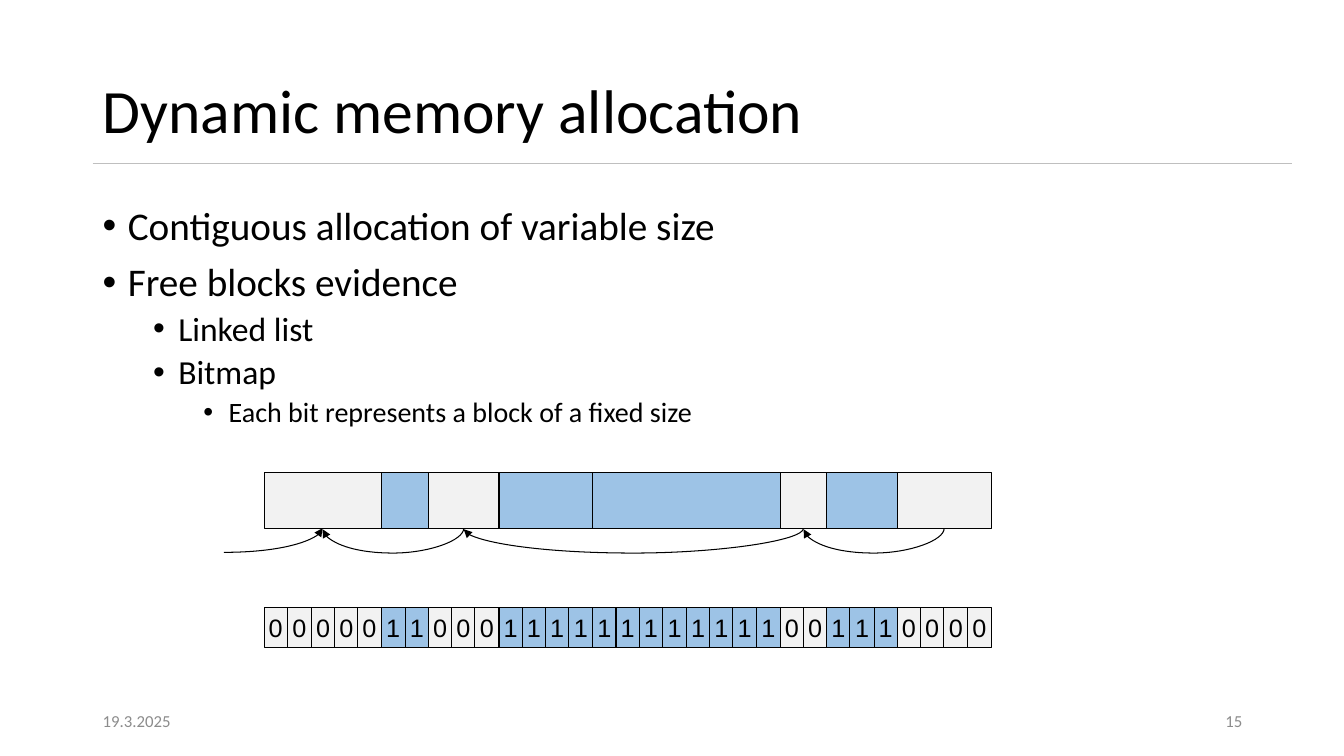
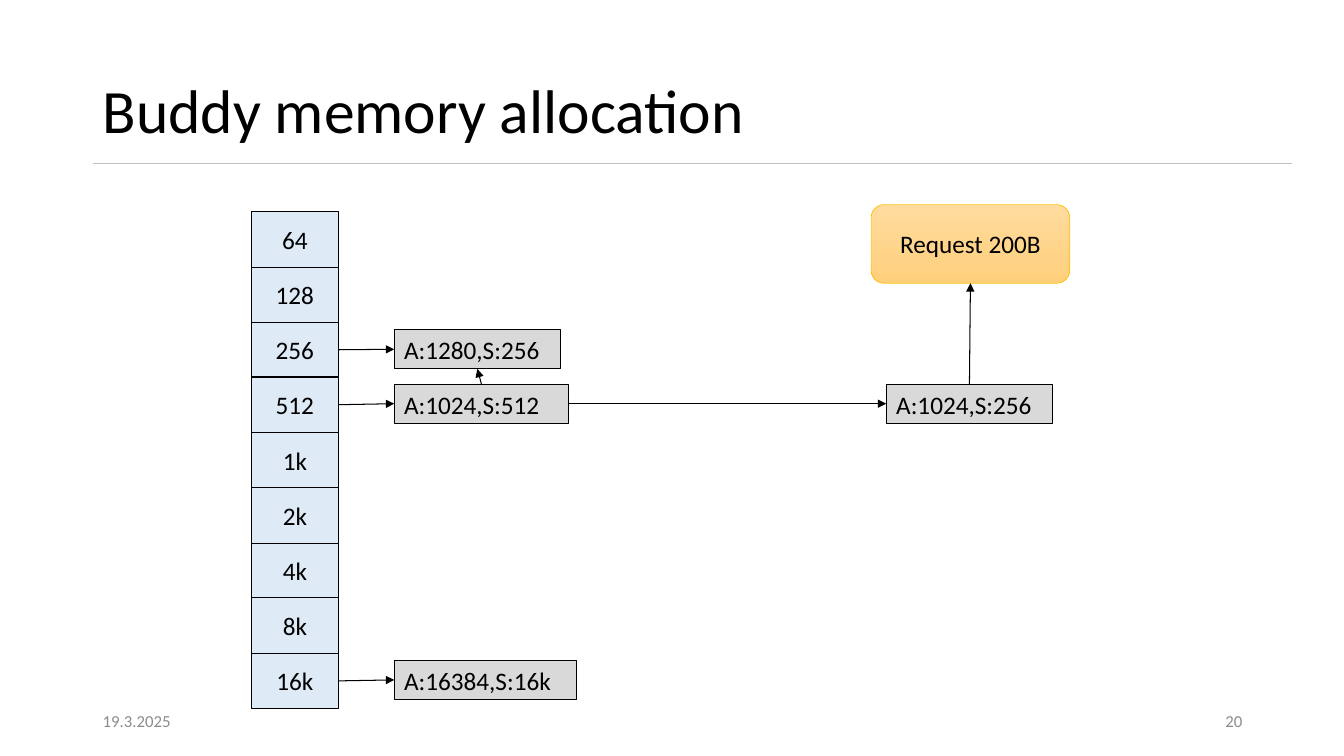
from lxml import etree
from pptx import Presentation
from pptx.dml.color import RGBColor
from pptx.enum.shapes import MSO_CONNECTOR as LINE, MSO_SHAPE as SHAPE
from pptx.enum.text import MSO_ANCHOR as ANCHOR, PP_ALIGN as ALIGN
from pptx.oxml.ns import qn
from pptx.util import Pt

PX = 9144  # 100 px to the inch
BLACK, GREY, RULE = "000000", "8C8C8C", "BFBFBF"
FREE, USED = "F2F2F2", "9DC3E6"
SIZE_CLASS, BLOCK_NODE = "DEEBF7", "D9D9D9"
AMBER, AMBER_LIGHT, AMBER_DARK = "FFC000", "FFDB9E", "FFD07C"
TOP, LEFT, BOTTOM, RIGHT = range(4)  # connection sites
color = RGBColor.from_string


def add_box(slide, box, text, fill=None, kind=SHAPE.RECTANGLE, size=18, ink=BLACK,
            font="Calibri", align=ALIGN.CENTER, anchor=ANCHOR.MIDDLE, wrap=False):
    """Add a filled, outlined shape, or a plain text box when fill is None."""
    area = [length * PX for length in box]
    if fill is None:
        shape = slide.shapes.add_textbox(*area)
    else:
        shape = slide.shapes.add_shape(kind, *area)
        shape.shadow.inherit = False
        shape.fill.solid()
        shape.fill.fore_color.rgb = color(fill)
        shape.line.color.rgb = color(BLACK)
        shape.line.width = Pt(0.75)
    frame = shape.text_frame
    frame.text = text
    frame.word_wrap = wrap
    frame.vertical_anchor = anchor
    for paragraph in frame.paragraphs:
        paragraph.alignment = align
        paragraph.font.size = Pt(size)
        paragraph.font.name = font
        paragraph.font.color.rgb = color(ink)
    return shape


def add_line(slide, start, end, kind=LINE.STRAIGHT, ink=BLACK, width=0.75, arrow=True):
    connector = slide.shapes.add_connector(kind, *[length * PX for length in start + end])
    connector.line.color.rgb = color(ink)
    connector.line.width = Pt(width)
    properties = connector._element.spPr
    if arrow:
        etree.SubElement(properties.find(qn("a:ln")), qn("a:tailEnd"), type="triangle")
    etree.SubElement(properties, qn("a:effectLst"))
    return connector


presentation = Presentation()
presentation.slide_width = 1333 * PX
presentation.slide_height = 750 * PX

# Title, rule and footer of every slide
slides = []
for title, number in (("Dynamic memory allocation", "15"), ("Buddy memory allocation", "20")):
    slide = presentation.slides.add_slide(presentation.slide_layouts[6])
    add_line(slide, (92, 162), (1281, 162), ink=RULE, width=1, arrow=False)
    heading = add_box(slide, (92, 40, 1063, 145), title, size=44, align=ALIGN.LEFT, wrap=True)
    heading.text_frame.paragraphs[0].line_spacing = 0.9
    for left, text, align in ((92, "19.3.2025", ALIGN.LEFT), (942, number, ALIGN.RIGHT)):
        add_box(slide, (left, 695, 300, 40), text, size=12, ink=GREY, align=align, wrap=True)
    slides.append(slide)
allocation_slide, buddy_slide = slides

# Dynamic allocation: bullets
bullets = [
    (0, "Contiguous allocation of variable size"),
    (0, "Free blocks evidence"),
    (1, "Linked list"),
    (1, "Bitmap"),
    (2, "Each bit represents a block of a fixed size"),
]
body = add_box(allocation_slide, (92, 200, 1150, 260), "\n".join(text for _, text in bullets),
               align=ALIGN.LEFT, anchor=ANCHOR.TOP, wrap=True)
for index, (paragraph, (level, _)) in enumerate(zip(body.text_frame.paragraphs, bullets)):
    paragraph.level = level
    paragraph.line_spacing = 0.9
    if index:
        paragraph.space_before = Pt(5 if level else 10)
    properties = paragraph._p.get_or_add_pPr()
    properties.set("marL", str((25 + 50 * level) * PX))
    properties.set("indent", str(-25 * PX))
    bullet_font = etree.Element(qn("a:buFont"), typeface="Arial")
    bullet = etree.Element(qn("a:buChar"), char="•")
    properties.find(qn("a:defRPr")).addprevious(bullet_font)
    bullet_font.addnext(bullet)
    for run in paragraph.runs:
        run.font.size = Pt((28, 24, 20)[level])

# Dynamic allocation: memory blocks (length in bits, in use) above their bitmap
blocks = [(5, 0), (2, 1), (3, 0), (4, 1), (8, 1), (2, 0), (3, 1), (4, 0)]
bits = [used for length, used in blocks for _ in range(length)]
edges = [262 + round(721 * index / len(bits)) for index in range(len(bits) + 1)]
fills = (FREE, USED)

free_blocks = []
first = 0
for length, used in blocks:
    left, right = edges[first], edges[first + length]
    block = add_box(allocation_slide, (left, 469, right - left, 55), "", fills[used])
    if not used:
        free_blocks.append(block)
    first += length

# Linked list of the free blocks: arcs that sag 25 px below the blocks
for source, target in zip(free_blocks, free_blocks[1:]):
    arc = add_line(allocation_slide, (0, 0), (0, 0), LINE.CURVE)
    arc.begin_connect(source, BOTTOM)
    arc.end_connect(target, BOTTOM)
    start, span = arc.begin_x, arc.end_x - arc.begin_x
    # A curve between two equal heights is a thin upright one, turned by 270 degrees
    arc.left, arc.top = start + (span - PX) // 2, 524 * PX + (PX - span) // 2
    arc.width, arc.height = PX, span
    properties = arc._element.spPr
    transform = properties.find(qn("a:xfrm"))
    transform.set("rot", str(270 * 60000))
    transform.set("flipH", "1")
    adjustments = properties.find(qn("a:prstGeom")).find(qn("a:avLst"))
    etree.SubElement(adjustments, qn("a:gd"), name="adj1", fmla="val 2500000")

list_head = add_line(allocation_slide, (222, 548), (320, 524), LINE.CURVE)
list_head.end_connect(free_blocks[0], BOTTOM)
list_head._element.spPr.find(qn("a:prstGeom")).set("prst", "curvedConnector2")

for bit, left, right in zip(bits, edges, edges[1:]):
    cell = add_box(allocation_slide, (left, 603, right - left, 39), str(bit), fills[bit],
                   font="Arial")
    frame = cell.text_frame
    frame.margin_left = frame.margin_right = frame.margin_top = frame.margin_bottom = 0

# Buddy allocation: table of size classes
names = ["64", "128", "256", "512", "1k", "2k", "4k", "8k", "16k"]
row_edges = [210 + round(493 * index / len(names)) for index in range(len(names) + 1)]
classes = {}
centers = {}
for name, top, bottom in zip(names, row_edges, row_edges[1:]):
    classes[name] = add_box(buddy_slide, (249, top, 87, bottom - top), name, SIZE_CLASS)
    centers[name] = (top + bottom) // 2

# Buddy allocation: free blocks, each on the row of a size class
nodes = {}
for text, row, left, width in (
    ("A:1280,S:256", "256", 391, 165),
    ("A:1024,S:512", "512", 391, 173),
    ("A:16384,S:16k", "16k", 391, 181),
    ("A:1024,S:256", "512", 879, 165),
):
    nodes[text] = add_box(buddy_slide, (left, centers[row] - 20, width, 39), text, BLOCK_NODE,
                          align=ALIGN.LEFT, anchor=ANCHOR.TOP)

request = add_box(buddy_slide, (864, 203, 197, 78), "Request 200B", AMBER_LIGHT,
                  SHAPE.ROUNDED_RECTANGLE, wrap=True)
request.line.color.rgb = color(AMBER)
request.line.width = Pt(0.5)
request.fill.gradient()
request.fill.gradient_angle = 270
for stop, shade in zip(request.fill.gradient_stops, (AMBER_LIGHT, AMBER_DARK)):
    stop.color.rgb = color(shade)

split, buddy, given = nodes["A:1024,S:512"], nodes["A:1280,S:256"], nodes["A:1024,S:256"]
for source, source_site, target, target_site in (
    (classes["256"], RIGHT, buddy, LEFT),
    (classes["512"], RIGHT, split, LEFT),
    (classes["16k"], RIGHT, nodes["A:16384,S:16k"], LEFT),
    (split, TOP, buddy, BOTTOM),
    (split, RIGHT, given, LEFT),
    (given, TOP, request, BOTTOM),
):
    arrow = add_line(buddy_slide, (0, 0), (0, 0))
    arrow.begin_connect(source, source_site)
    arrow.end_connect(target, target_site)

presentation.save("out.pptx")
